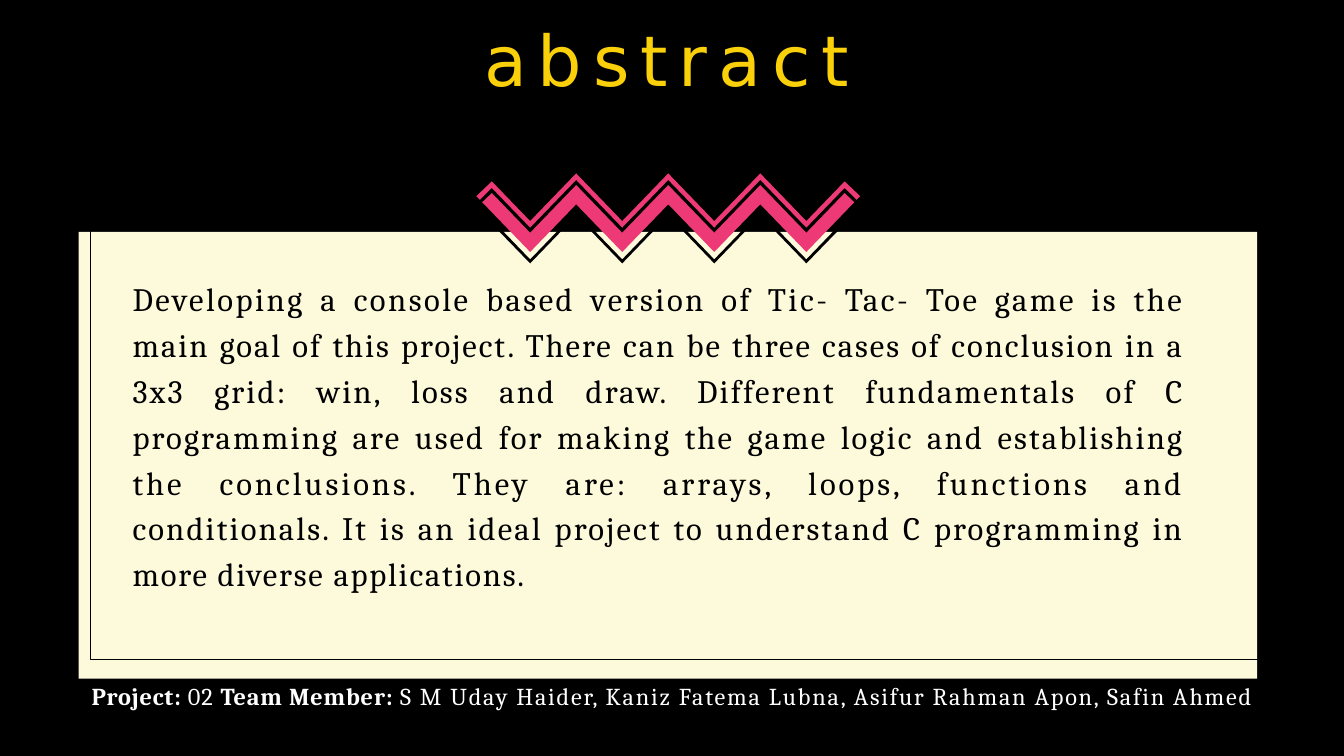
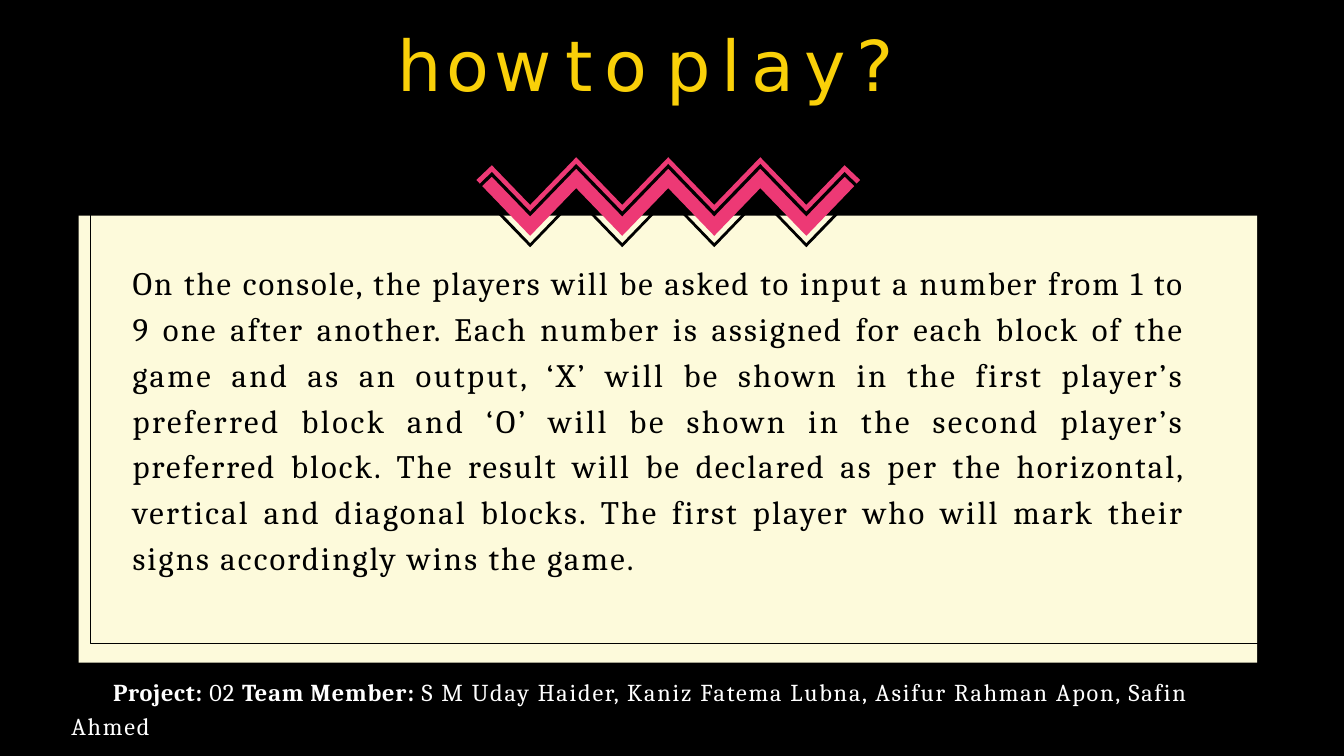
from lxml import etree
from pptx import Presentation
from pptx.dml.color import RGBColor
from pptx.enum import shapes, text
from pptx.oxml.ns import qn
from pptx.util import Pt

BLACK, CREAM, PINK, YELLOW, WHITE = "000000", "FDFADB", "ED3975", "F9D009", "FFFFFF"
TITLE_FONT, BODY_FONT = "DejaVu Sans", "Cambria"
CENTER, ZIGZAG_STEP, VALLEYS = 716, 98.64, 4
PANEL_LEFT, PANEL_WIDTH, PANEL_HEIGHT = 84.2, 1262.9, 478.8

ABSTRACT = [
    ("Developing a console based version of Tic- Tac- Toe game is the ", 2.7),
    ("main goal of this project. There can be three cases of conclusion in a ", 2.1),
    ("3x3 grid: win, loss and draw. Different fundamentals of C ", 2.3),
    ("programming are used for making the game logic and establishing ", 2.3),
    ("the conclusions. They are: arrays, loops, functions and ", 3.2),
    ("conditionals. It is an ideal project to understand C programming in ", 2.3),
    ("more diverse applications.", 1.9),
]
HOW_TO_PLAY = [
    ("On the console, the players will be asked to input a number from 1 to ", 2.1),
    ("9 one after another. Each number is assigned for each block of the ", 2.3),
    ("game and as an output, ‘X’ will be shown in the first player’s ", 2.6),
    ("preferred block and ‘O’ will be shown in the second player’s ", 2.8),
    ("preferred block. The result will be declared as per the horizontal, ", 2.3),
    ("vertical and diagonal blocks. The first player who will mark their ", 2.4),
    ("signs accordingly wins the game.", 2.3),
]
FOOTER = [
    ("Project: ", 0.8, True),
    ("02 ", 1.2, False),
    ("Team Member: ", 0.9, True),
    ("S M Uday Haider, Kaniz Fatema Lubna, Asifur Rahman Apon, Safin Ahmed", 1.9, False),
]


def color(value):
    return RGBColor.from_string(value)


def paint(shape, fill=None, line=None):
    shape.shadow.inherit = False
    if fill:
        shape.fill.solid()
        shape.fill.fore_color.rgb = color(fill)
    else:
        shape.fill.background()
    if line:
        shape.line.color.rgb = color(line)
        shape.line.width = Pt(0.75)
    else:
        shape.line.fill.background()


def add_rectangle(group, left, top, width, height, fill=None, line=None):
    shape = group.shapes.add_shape(
        shapes.MSO_SHAPE.RECTANGLE, Pt(left), Pt(top), Pt(width), Pt(height))
    paint(shape, fill, line)


def zigzag_edge(half_width, end, valley, peak):
    points = [(CENTER - half_width, end)]
    for index in range(2 * VALLEYS - 1):
        x = CENTER + (index - VALLEYS + 1) * ZIGZAG_STEP / 2
        points.append((x, peak if index % 2 else valley))
    return points + [(CENTER + half_width, end)]


def add_zigzag(group, top, fill, *bands):
    builder = None
    for upper, lower in bands:
        outline = zigzag_edge(*upper) + zigzag_edge(*lower)[::-1]
        points = [(Pt(x), Pt(top + y)) for x, y in outline]
        if builder is None:
            builder = group.shapes.build_freeform(*points[0])
        else:
            builder.move_to(*points[0])
        builder.add_line_segments(points[1:], close=True)
    paint(builder.convert_to_shape(), fill)


def add_panel(slide, top):
    group = slide.shapes.add_group_shape()
    add_rectangle(group, PANEL_LEFT, top, PANEL_WIDTH, PANEL_HEIGHT, fill=CREAM)
    add_rectangle(group, 97.2, top - 20.9, 1257.1, PANEL_HEIGHT, line=BLACK)
    add_zigzag(group, top, PINK,
               ((189, -54, -11.5, -62.6), (205.6, -38.2, 21.6, -29.5)))
    add_zigzag(group, top, BLACK,
               ((189, -46.8, -4.3, -55.4), (208, -28.1, 33.8, -17.3)),
               ((189, -41.8, 0.7, -50.4), (203.4, -28.1, 29.5, -21.6)))
    slide.shapes._spTree.insert(2, group._element)


def write(shape, box, runs, font, size, ink, space_before, align=text.PP_ALIGN.LEFT,
          line_spacing=1.0, indent=0, tabs=()):
    shape.left, shape.top, shape.width, shape.height = map(Pt, box)
    frame = shape.text_frame
    frame.word_wrap = True
    frame.auto_size = text.MSO_AUTO_SIZE.SHAPE_TO_FIT_TEXT
    frame.vertical_anchor = text.MSO_ANCHOR.TOP
    frame.margin_left = frame.margin_right = frame.margin_bottom = 0
    frame.margin_top = Pt(0.9)
    paragraph = frame.paragraphs[0]
    properties = paragraph._p.get_or_add_pPr()
    properties.set("marL", str(Pt(0.9)))
    properties.set("indent", str(Pt(indent)))
    etree.SubElement(properties, qn("a:buNone"))
    if tabs:
        tab_list = etree.SubElement(properties, qn("a:tabLst"))
        for position in tabs:
            etree.SubElement(tab_list, qn("a:tab"), pos=str(Pt(position)), algn="l")
    paragraph.alignment = align
    paragraph.line_spacing = line_spacing
    paragraph.space_before = Pt(space_before)
    paragraph.font.name = font
    paragraph.font.size = Pt(size)
    paragraph.font.color.rgb = color(ink)
    for words, spacing, *bold in runs:
        run = paragraph.add_run()
        run.text = words
        run._r.get_or_add_rPr().set("spc", str(round(spacing * 100)))
        if bold:
            run.font.bold = bold[0]


def add_content_slide(presentation, panel_top, title, title_box, body, footer_box,
                      tabs=(), **footer_style):
    slide = presentation.slides.add_slide(presentation.slide_layouts[1])
    add_panel(slide, panel_top)
    write(slide.shapes.title, title_box, title, TITLE_FONT, 75, YELLOW, 1.1, tabs=tabs)
    write(slide.placeholders[1], (141.1, panel_top + 42.5, 1129.7, 344.9), body,
          BODY_FONT, 35, BLACK, 0.7, text.PP_ALIGN.JUSTIFY, 1.17)
    footer = slide.shapes.add_textbox(*map(Pt, footer_box))
    write(footer, footer_box, FOOTER, BODY_FONT, 26, WHITE, 1.2, **footer_style)


def main():
    presentation = Presentation()
    presentation.slide_width, presentation.slide_height = Pt(1440), Pt(810)
    background = presentation.slide_master.background.fill
    background.solid()
    background.fore_color.rgb = color(BLACK)
    add_content_slide(presentation, 248.4, [("abstract", 11.7)],
                      (517.7, 17.3, 404.6, 92.2), ABSTRACT,
                      (97.2, 728.6, 1275.8, 33.8))
    add_content_slide(presentation, 231.1, [("how\t", 5), ("to\t", 12), ("play?", 11.2)],
                      (425.5, 21.6, 612.7, 92.2), HOW_TO_PLAY,
                      (75.6, 720, 1223.3, 74.2), tabs=(213.8, 355.7),
                      line_spacing=1.16, indent=44.6)
    presentation.save("out.pptx")


if __name__ == "__main__":
    main()
